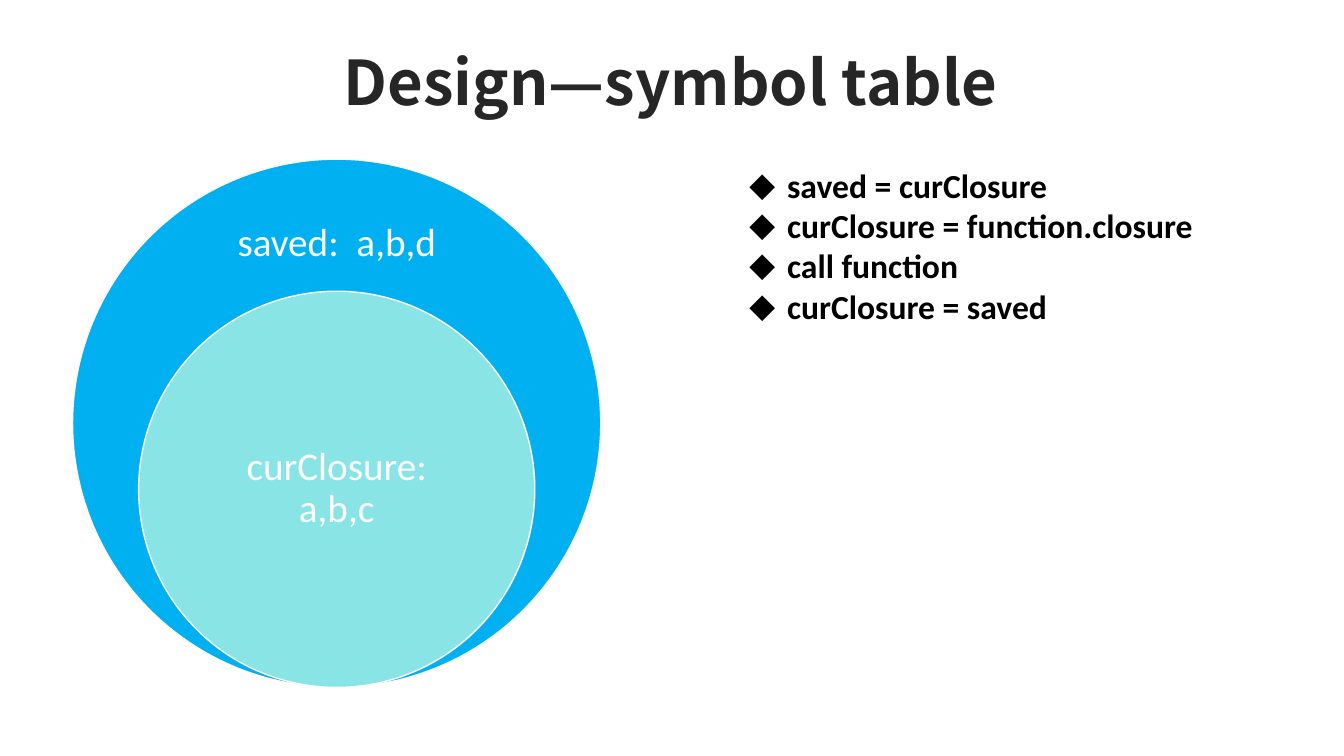
from lxml import etree
from pptx import Presentation
from pptx.dml.color import RGBColor
from pptx.enum.shapes import MSO_SHAPE
from pptx.enum.text import MSO_ANCHOR, MSO_AUTO_SIZE, PP_ALIGN
from pptx.oxml.ns import qn
from pptx.util import Pt

OVAL = MSO_SHAPE.OVAL
TOP, MIDDLE = MSO_ANCHOR.TOP, MSO_ANCHOR.MIDDLE
LEFT, CENTER = PP_ALIGN.LEFT, PP_ALIGN.CENTER
NO_FIT = MSO_AUTO_SIZE.NONE

HUES = {"ink": "262626", "black": "000000", "white": "FFFFFF",
        "outer": "00B0F0", "inner": "88E4E5"}
HEAD = "Design—symbol table"
STEPS = ["saved = curClosure", "curClosure = function.closure",
         "call function", "curClosure = saved"]
SCOPES = [
    {"text": "saved:  a,b,d", "hue": "outer", "scale": 1, "label": (142, 198, 64)},
    {"text": "curClosure:\na,b,c", "hue": "inner", "scale": 0.75, "label": (278.5, 200, 141)},
]
FONTS = {
    "head": {"name": "Noto Sans CJK SC", "size": Pt(44), "bold": True, "hue": "ink"},
    "step": {"name": "Calibri", "size": Pt(24), "bold": True, "hue": "black"},
    "scope": {"name": "Calibri", "size": Pt(28), "bold": False, "hue": "white"},
}
PARAS = {
    "head": {"alignment": CENTER, "line_spacing": 0.9},
    "step": {"alignment": LEFT, "line_spacing": 1.0,
             "space_before": Pt(0), "space_after": Pt(0)},
    "scope": {"alignment": CENTER, "line_spacing": 0.9},
}
MID, BASE, WIDTH = 240.5, 491, 377.3
INDENT = Pt(27)


def color(hue):
    return RGBColor.from_string(HUES[hue])


def place(shape, *box):
    for name, value in zip(("left", "top", "width", "height"), box):
        setattr(shape, name, Pt(value))


def write(frame, lines, kind, anchor):
    frame.word_wrap = True
    frame.auto_size = NO_FIT
    frame.vertical_anchor = anchor
    for i, line in enumerate(lines):
        para = frame.add_paragraph() if i else frame.paragraphs[0]
        para.text = line
        for name, value in PARAS[kind].items():
            setattr(para, name, value)
        for run in para.runs:
            for name, value in FONTS[kind].items():
                if name != "hue":
                    setattr(run.font, name, value)
            run.font.color.rgb = color(FONTS[kind]["hue"])
            east = etree.SubElement(run.font._element, qn("a:ea"))
            east.set("typeface", FONTS[kind]["name"])


def bullet(para):
    props = para._p.get_or_add_pPr()
    props.set("marL", str(INDENT))
    props.set("indent", str(-INDENT))
    etree.SubElement(props, qn("a:buFont")).set("typeface", "Calibri")
    etree.SubElement(props, qn("a:buChar")).set("char", "◆")


def scope(slide, item):
    size = WIDTH * item["scale"]
    disc = slide.shapes.add_shape(OVAL, 0, 0, 0, 0)
    place(disc, MID - size / 2, BASE - size, size, size)
    disc.shadow.inherit = False
    disc.fill.solid()
    disc.fill.fore_color.rgb = color(item["hue"])
    disc.line.color.rgb = color("white")
    disc.line.width = Pt(1)
    top, wide, high = item["label"]
    label = slide.shapes.add_textbox(0, 0, 0, 0)
    place(label, MID - wide / 2, top, wide, high)
    for side in ("left", "top", "right", "bottom"):
        setattr(label.text_frame, "margin_" + side, Pt(16))
    write(label.text_frame, [item["text"]], "scope", MIDDLE)


def main():
    deck = Presentation()
    deck.slide_width, deck.slide_height = Pt(960), Pt(540)
    slide = deck.slides.add_slide(deck.slide_layouts[1])
    title, body = slide.shapes.title, slide.placeholders[1]
    place(title, 140.5, 29.5, 677.5, 62.5)
    write(title.text_frame, [HEAD], "head", MIDDLE)
    place(body, 528, 114, 385, 124)
    write(body.text_frame, STEPS, "step", TOP)
    for para in body.text_frame.paragraphs:
        bullet(para)
    for item in SCOPES:
        scope(slide, item)
    deck.save("out.pptx")


if __name__ == "__main__":
    main()
